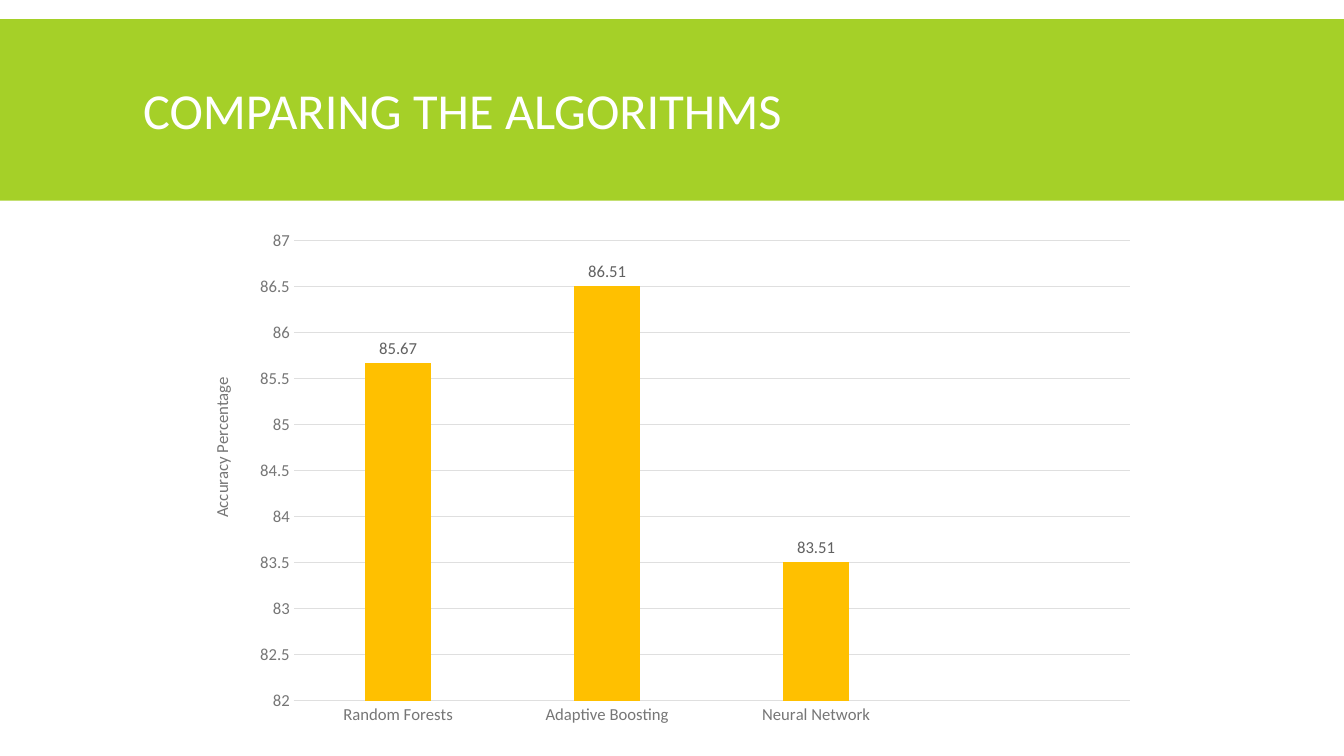
import pptx
import pptx.chart.data
import pptx.dml.color
import pptx.enum.chart
import pptx.enum.shapes
import pptx.enum.text
import pptx.oxml
import pptx.oxml.ns
import pptx.util

Inches = pptx.util.Inches
Pt = pptx.util.Pt


def color(value):
    return pptx.dml.color.RGBColor.from_string(value)


def style_font(font, size, tint):
    font.name = "Calibri"
    font.size = Pt(size)
    font.bold = False
    font.color.rgb = color(tint)


def write(frame, text, size=12, tint="767676", spacing=1.0, wrap=True,
          align=pptx.enum.text.PP_ALIGN.LEFT):
    frame.word_wrap = wrap
    frame.vertical_anchor = pptx.enum.text.MSO_ANCHOR.MIDDLE
    paragraph = frame.paragraphs[0]
    paragraph.alignment = align
    paragraph.line_spacing = spacing
    run = paragraph.add_run()
    run.text = text
    style_font(run.font, size, tint)


class SlideBuilder:
    green = "A5D028"
    gold = "FFC000"
    grid = "DFDFDF"
    axis_text = "767676"
    label_text = "616161"

    def __init__(self, deck):
        self.slide = deck.slides.add_slide(deck.slide_layouts[5])

    def title(self, text, *box):
        heading = self.slide.shapes.title
        heading.left, heading.top, heading.width, heading.height = map(Inches, box)
        write(heading.text_frame, text, size=36, tint="FFFFFF", spacing=0.85)

    def band(self, *box):
        band = self.slide.shapes.add_shape(
            pptx.enum.shapes.MSO_SHAPE.RECTANGLE, *map(Inches, box))
        band.shadow.inherit = False
        band.fill.solid()
        band.fill.fore_color.rgb = color(self.green)
        band.line.fill.background()
        self.slide.shapes.title._element.addprevious(band._element)

    def side_label(self, text, *box):
        label = self.slide.shapes.add_textbox(*map(Inches, box))
        label.rotation = 270
        write(label.text_frame, text, tint=self.axis_text, wrap=False)

    def column_chart(self, categories, values, box, plot_box):
        accuracy = pptx.chart.data.CategoryChartData()
        accuracy.categories = categories
        accuracy.add_series("Series 1", values)
        chart = self.slide.shapes.add_chart(
            pptx.enum.chart.XL_CHART_TYPE.COLUMN_CLUSTERED,
            *map(Inches, box), accuracy).chart
        chart.has_legend = False
        chart.has_title = False
        style_font(chart.font, 10, "2C2C2C")
        self.place_plot(chart, plot_box)
        self.format_axes(chart)
        self.format_columns(chart.plots[0])

    def place_plot(self, chart, plot_box):
        places = "".join(f'<c:{key} val="{value}"/>'
                         for key, value in zip("xywh", plot_box))
        layout = pptx.oxml.parse_xml(
            f'<c:layout {pptx.oxml.ns.nsdecls("c")}><c:manualLayout>'
            '<c:layoutTarget val="inner"/><c:xMode val="edge"/>'
            f'<c:yMode val="edge"/>{places}</c:manualLayout></c:layout>')
        plot_area = chart._chartSpace.chart.plotArea
        for previous in plot_area.findall(pptx.oxml.ns.qn("c:layout")):
            plot_area.remove(previous)
        plot_area.insert(0, layout)

    def format_axes(self, chart):
        for axis in (chart.category_axis, chart.value_axis):
            axis.major_tick_mark = pptx.enum.chart.XL_TICK_MARK.NONE
            axis.minor_tick_mark = pptx.enum.chart.XL_TICK_MARK.NONE
            style_font(axis.tick_labels.font, 12, self.axis_text)
        scale = chart.value_axis
        scale.minimum_scale, scale.maximum_scale, scale.major_unit = 82, 87, 0.5
        scale.format.line.fill.background()
        scale.has_major_gridlines = True
        for line in (chart.category_axis.format.line,
                     scale.major_gridlines.format.line):
            line.color.rgb = color(self.grid)
            line.width = Pt(0.75)

    def format_columns(self, plot):
        plot.gap_width = 219
        plot.overlap = -27
        plot.vary_by_categories = False
        columns = plot.series[0]
        columns.format.fill.solid()
        columns.format.fill.fore_color.rgb = color(self.gold)
        labels = columns.data_labels
        labels.show_value = True
        labels.position = pptx.enum.chart.XL_LABEL_POSITION.OUTSIDE_END
        style_font(labels.font, 12, self.label_text)


def main():
    deck = pptx.Presentation()
    deck.slide_width = Inches(13.33)
    deck.slide_height = Inches(7.5)
    comparison = SlideBuilder(deck)
    comparison.band(0, 0.19, 13.33, 1.8)
    comparison.title("COMPARING THE ALGORITHMS", 1.32, 0.31, 10.7, 1.65)
    comparison.column_chart(
        ["Random Forests", "Adaptive Boosting", "Neural Network", ""],
        [85.67, 86.51, 83.51, None],
        box=(2.58, 1.38, 8.89, 5.93),
        plot_box=(0.03, 0.17, 0.94, 0.77))
    comparison.side_label("Accuracy Percentage", 1.35, 4.24, 1.69, 0.3)
    deck.save("out.pptx")


if __name__ == "__main__":
    main()
